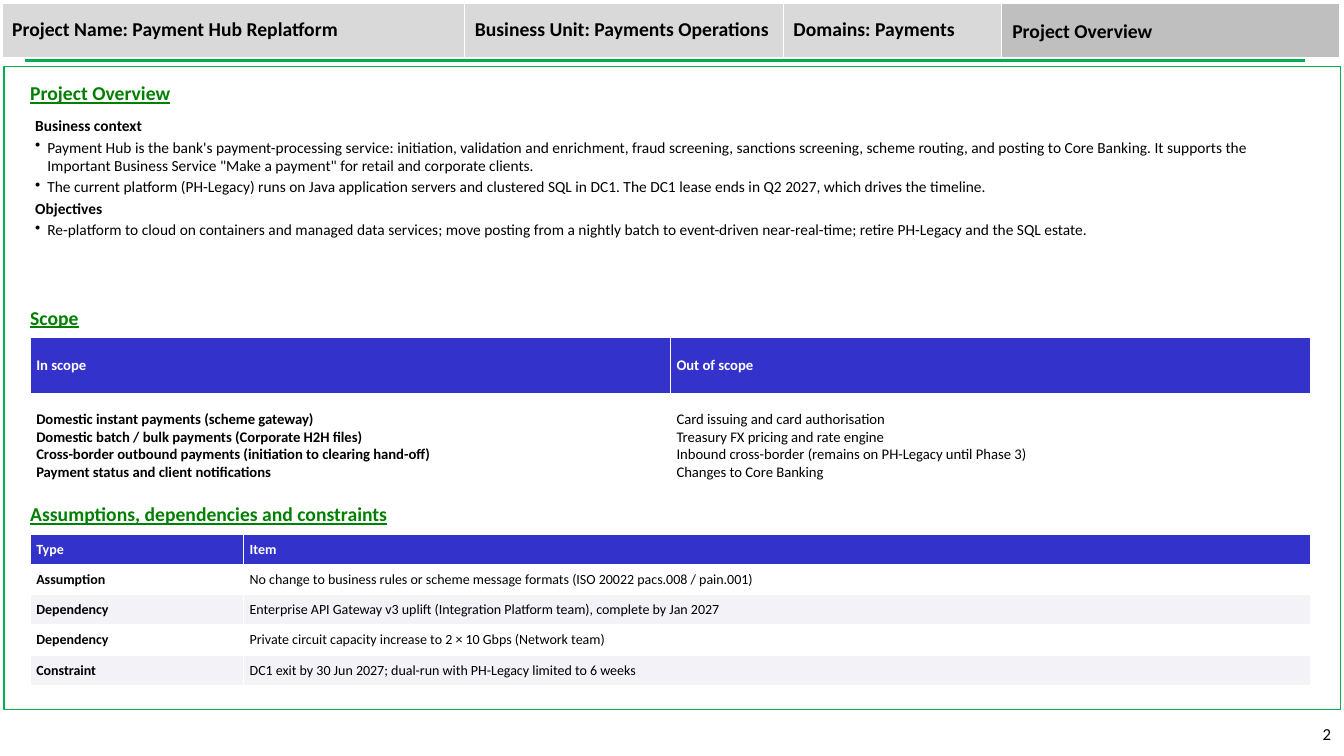
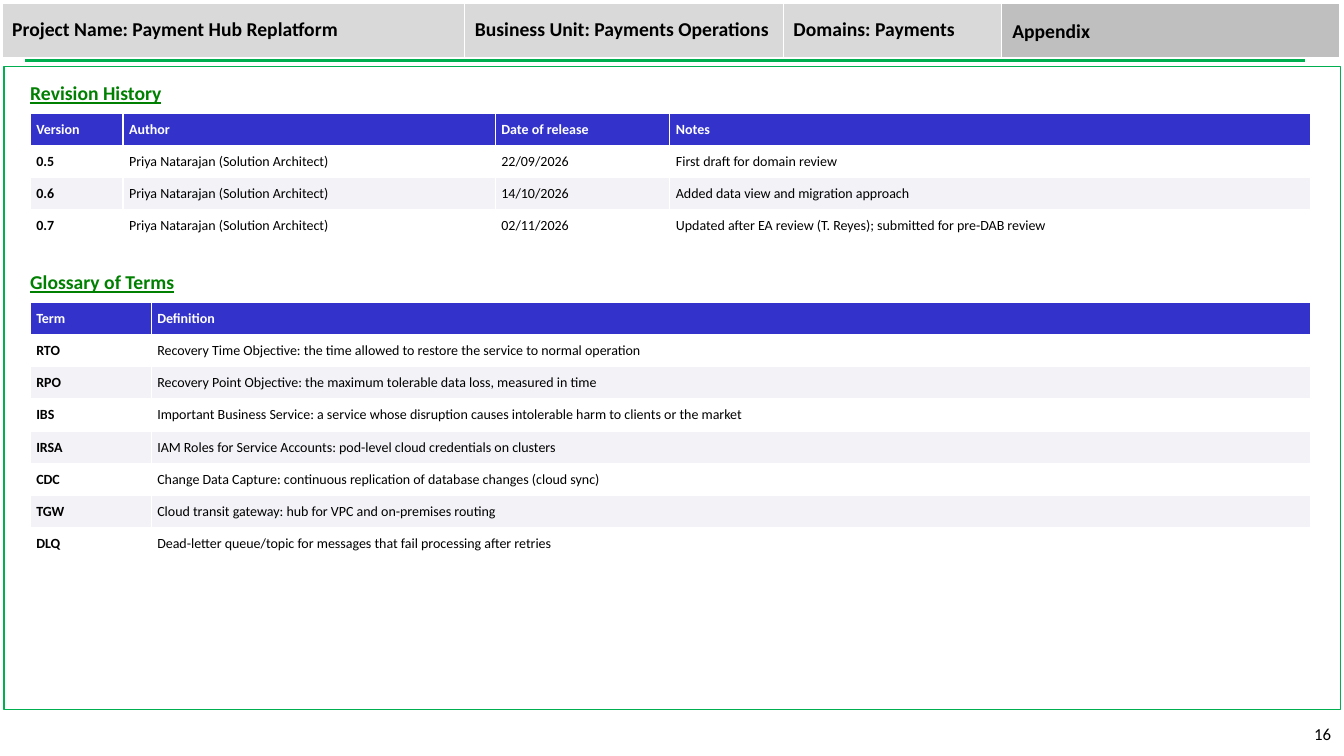
from lxml import etree
from pptx import Presentation, util as u
from pptx.dml.color import RGBColor
from pptx.enum import shapes, text
from pptx.oxml import ns

COLORS = {
    "ink": "000000", "white": "FFFFFF", "stripe": "F2F2F7", "header": "3333CC",
    "heading": "008000", "rule": "00B050", "band": "D9D9D9", "band_title": "BFBFBF",
}
FONT = "Calibri"
GRID_COLUMNS, GRID_ROWS = 133.3, 75
LEFT, WIDTH = 3, 127
BOX_INSET, CELL_INSET = (0.05, 0.03), (0.06, 0.03)
BAND = {
    "Project Name: Payment Hub Replatform": 45.9,
    "Business Unit: Payments Operations": 31.6,
    "Domains: Payments": 21.6,
    "": 33.6,
}


def color(name):
    return RGBColor.from_string(COLORS[name])


def write(frame, content, size=11, ink="ink", bold=False, underline=False, bullet=False,
          align=text.PP_ALIGN.LEFT, after=0):
    for line in content.splitlines():
        paragraph = frame.paragraphs[0] if not frame.text else frame.add_paragraph()
        paragraph.alignment = align
        paragraph.space_after = u.Pt(after)
        if bullet:
            indent = u.Inches(0.12)
            properties = paragraph._p.get_or_add_pPr()
            properties.set("marL", str(indent))
            properties.set("indent", str(-indent))
            etree.SubElement(properties, ns.qn("a:buChar")).set("char", "•")
        run = paragraph.add_run()
        run.text = line
        font = run.font
        font.name, font.size = FONT, u.Pt(size)
        font.bold, font.underline = bold, underline
        font.color.rgb = color(ink)


class Deck:
    def __init__(self):
        self.presentation = Presentation()
        self.presentation.slide_width = u.Inches(13.33)
        self.presentation.slide_height = u.Inches(7.5)
        self.slide = None

    def across(self, columns):
        return round(self.presentation.slide_width * columns / GRID_COLUMNS)

    def down(self, rows):
        return round(self.presentation.slide_height * rows / GRID_ROWS)

    def place(self, column, row, columns, rows):
        return self.across(column), self.down(row), self.across(columns), self.down(rows)

    def page(self, title, number):
        layout = self.presentation.slide_layouts.get_by_name("Title Only")
        self.slide = self.presentation.slides.add_slide(layout)
        self.rule()
        band = self.band()
        self.frame()
        self.title(title, band)
        footer = self.box(101.9, 70.8, 31.1, 4, inset=(0.1, 0.05))
        footer.vertical_anchor = text.MSO_ANCHOR.MIDDLE
        write(footer, str(number), size=12, align=text.PP_ALIGN.RIGHT)

    def rule(self):
        x, y, width, _ = self.place(2.5, 6, 126.9, 0)
        rule = self.slide.shapes.add_connector(shapes.MSO_CONNECTOR.STRAIGHT, x, y, x + width, y)
        rule.line.color.rgb = color("rule")
        rule.line.width = u.Pt(1.5)
        etree.SubElement(rule._element.spPr, ns.qn("a:effectLst"))

    def band(self):
        band = self.grid(0.2, 0.3, list(BAND.values()), 1, 5.4)
        for cell, label in zip(band.table.rows[0].cells, BAND):
            self.fill(cell, "band" if label else "band_title")
            write(cell.text_frame, label, size=14, bold=True)
        return band

    def frame(self):
        frame = self.slide.shapes.add_shape(
            shapes.MSO_SHAPE.RECTANGLE, *self.place(0.4, 6.6, 132.6, 63.8))
        frame.shadow.inherit = False
        frame.fill.background()
        frame.line.color.rgb = color("rule")
        frame.line.width = u.Pt(0.75)

    def title(self, content, band):
        title = self.slide.shapes.title
        title.left, title.top, title.width, title.height = self.place(99.4, 1.4, 33, 3.4)
        title.text_frame.vertical_anchor = text.MSO_ANCHOR.TOP
        title.text_frame.auto_size = text.MSO_AUTO_SIZE.NONE
        write(title.text_frame, content, size=14, bold=True)
        band._element.addnext(title._element)

    def box(self, column, row, columns, rows, inset=BOX_INSET):
        frame = self.slide.shapes.add_textbox(
            *self.place(column, row, columns, rows)).text_frame
        frame.word_wrap = True
        frame.margin_left = frame.margin_right = u.Inches(inset[0])
        frame.margin_top = frame.margin_bottom = u.Inches(inset[1])
        return frame

    def heading(self, content, body_row):
        write(self.box(2.5, body_row - 3.5, 80, 3.2), content,
              size=14, ink="heading", bold=True, underline=True, after=2)

    def narrative(self, heading, row, topics):
        self.heading(heading, row)
        frame = self.box(LEFT, row, WIDTH, 16)
        for topic, points in topics.items():
            write(frame, topic, bold=True, after=2)
            write(frame, "\n".join(points), bullet=True, after=2)

    def fill(self, cell, name):
        cell.fill.solid()
        cell.fill.fore_color.rgb = color(name)
        cell.vertical_anchor = text.MSO_ANCHOR.MIDDLE

    def grid(self, column, row, widths, count, height):
        graphic = self.slide.shapes.add_table(
            count, len(widths), *self.place(column, row, sum(widths), count * height))
        graphic.table.horz_banding = False
        for table_column, width in zip(graphic.table.columns, widths):
            table_column.width = self.across(width)
        return graphic

    def table(self, heading, row, shares, records, height, size=10, last_height=None):
        self.heading(heading, row)
        widths = [WIDTH * share / sum(shares) for share in shares]
        table = self.grid(LEFT, row, widths, len(records), height).table
        if last_height:
            table.rows[len(records) - 1].height = self.down(last_height)
        for r, record in enumerate(records):
            background = "header" if r == 0 else "white" if r % 2 else "stripe"
            for c, content in enumerate(record):
                cell = table.cell(r, c)
                self.fill(cell, background)
                cell.margin_left = cell.margin_right = u.Inches(CELL_INSET[0])
                cell.margin_top = cell.margin_bottom = u.Inches(CELL_INSET[1])
                write(cell.text_frame, content, size=size, bold=r == 0 or c == 0,
                      ink="white" if r == 0 else "ink")


def overview(deck):
    deck.page("Project Overview", 2)
    deck.narrative("Project Overview", 11.25, {
        "Business context": [
            "Payment Hub is the bank's payment-processing service: initiation, validation and "
            "enrichment, fraud screening, sanctions screening, scheme routing, and posting to "
            "Core Banking. It supports the Important Business Service \"Make a payment\" for "
            "retail and corporate clients.",
            "The current platform (PH-Legacy) runs on Java application servers and clustered "
            "SQL in DC1. The DC1 lease ends in Q2 2027, which drives the timeline.",
        ],
        "Objectives": [
            "Re-platform to cloud on containers and managed data services; move posting from a "
            "nightly batch to event-driven near-real-time; retire PH-Legacy and the SQL estate.",
        ],
    })
    deck.table("Scope", 33.5, [1, 1], [
        ("In scope", "Out of scope"),
        ("Domestic instant payments (scheme gateway)\n"
         "Domestic batch / bulk payments (Corporate H2H files)\n"
         "Cross-border outbound payments (initiation to clearing hand-off)\n"
         "Payment status and client notifications",
         "Card issuing and card authorisation\n"
         "Treasury FX pricing and rate engine\n"
         "Inbound cross-border (remains on PH-Legacy until Phase 3)\n"
         "Changes to Core Banking"),
    ], 5.5, size=10.5, last_height=10.5)
    deck.table("Assumptions, dependencies and constraints", 53, [1, 5], [
        ("Type", "Item"),
        ("Assumption", "No change to business rules or scheme message formats "
                       "(ISO 20022 pacs.008 / pain.001)"),
        ("Dependency", "Enterprise API Gateway v3 uplift (Integration Platform team), "
                       "complete by Jan 2027"),
        ("Dependency", "Private circuit capacity increase to 2 × 10 Gbps (Network team)"),
        ("Constraint", "DC1 exit by 30 Jun 2027; dual-run with PH-Legacy limited to 6 weeks"),
    ], 3)


def appendix(deck):
    author = "Priya Natarajan (Solution Architect)"
    deck.page("Appendix", 16)
    deck.table("Revision History", 11.25, [9.2, 36.9, 17.3, 63.5], [
        ("Version", "Author", "Date of release", "Notes"),
        ("0.5", author, "22/09/2026", "First draft for domain review"),
        ("0.6", author, "14/10/2026", "Added data view and migration approach"),
        ("0.7", author, "02/11/2026",
         "Updated after EA review (T. Reyes); submitted for pre-DAB review"),
    ], 3.2)
    deck.table("Glossary of Terms", 30, [12, 115], [
        ("Term", "Definition"),
        ("RTO", "Recovery Time Objective: the time allowed to restore the service to normal "
                "operation"),
        ("RPO", "Recovery Point Objective: the maximum tolerable data loss, measured in time"),
        ("IBS", "Important Business Service: a service whose disruption causes intolerable "
                "harm to clients or the market"),
        ("IRSA", "IAM Roles for Service Accounts: pod-level cloud credentials on clusters"),
        ("CDC", "Change Data Capture: continuous replication of database changes (cloud sync)"),
        ("TGW", "Cloud transit gateway: hub for VPC and on-premises routing"),
        ("DLQ", "Dead-letter queue/topic for messages that fail processing after retries"),
    ], 3.2)


def main():
    deck = Deck()
    overview(deck)
    appendix(deck)
    deck.presentation.save("out.pptx")


if __name__ == "__main__":
    main()
